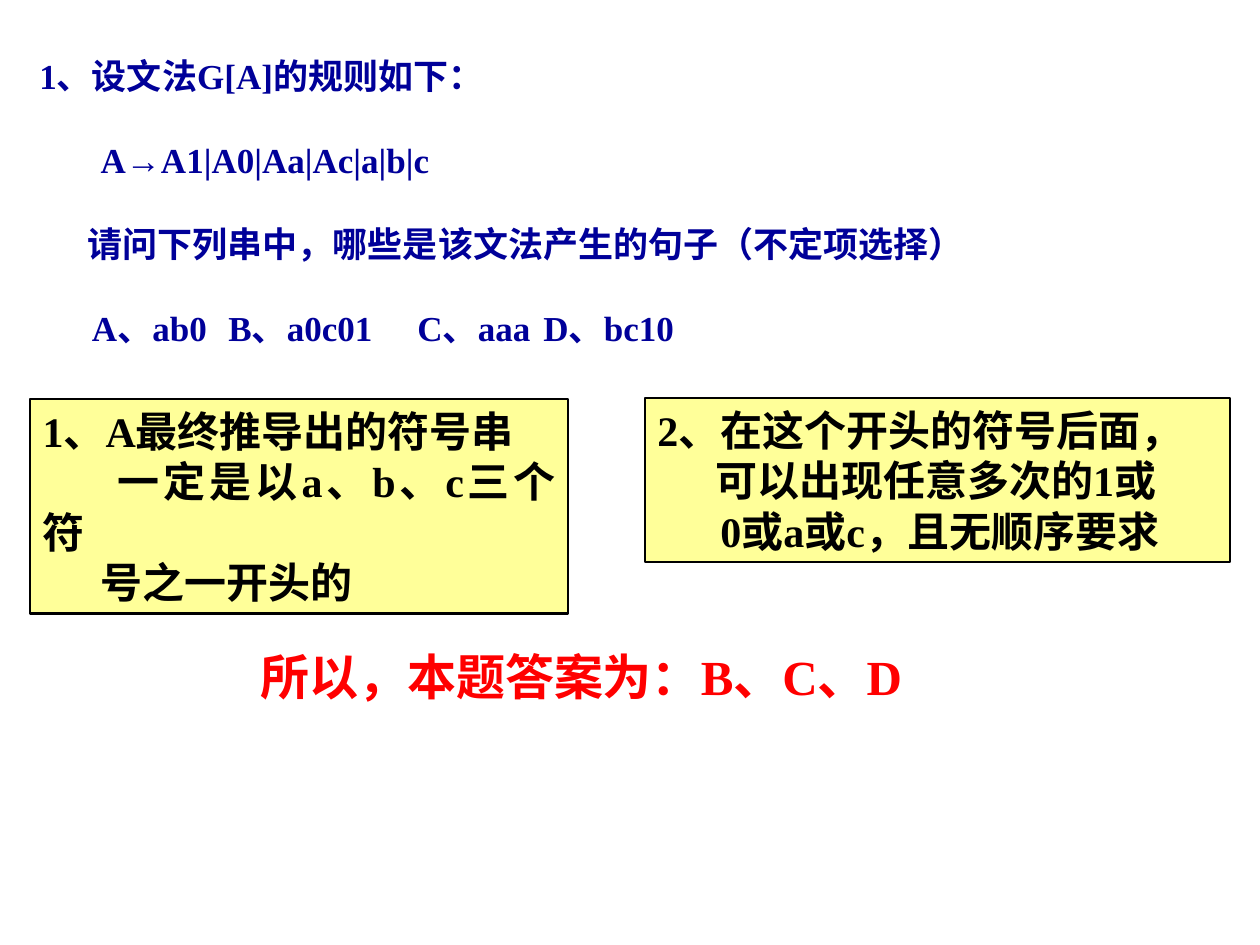
from lxml import etree
from pptx import Presentation
from pptx.dml.color import RGBColor
from pptx.enum.shapes import MSO_SHAPE
from pptx.enum.text import MSO_ANCHOR, MSO_AUTO_SIZE, PP_ALIGN
from pptx.oxml.ns import qn
from pptx.util import Pt

RECTANGLE = MSO_SHAPE.RECTANGLE
TOP, MIDDLE = MSO_ANCHOR.TOP, MSO_ANCHOR.MIDDLE
JUSTIFY, LEFT = PP_ALIGN.JUSTIFY, PP_ALIGN.LEFT
GROW = MSO_AUTO_SIZE.SHAPE_TO_FIT_TEXT

NAVY = RGBColor(0x00, 0x00, 0x99)
BLACK = RGBColor(0x00, 0x00, 0x00)
RED = RGBColor(0xFF, 0x00, 0x00)
YELLOW = RGBColor(0xFF, 0xFF, 0x99)
FONT = "Times New Roman"

# Content: each line is (first-line indent, text)
QUESTION = [
    (0, "1、设文法G[A]的规则如下："),
    (35, "A→A1|A0|Aa|Ac|a|b|c"),
    (27.5, "请问下列串中，哪些是该文法产生的句子（不定项选择）"),
    (30, "A、ab0\tB、a0c01\tC、aaa\tD、bc10"),
]
OPTION_TABS = [154.5, 298.5, 437.5]
START_RULE = [
    (0, "1、A最终推导出的符号串"),
    (43, "一定是以a、b、c三个符"),
    (33, "号之一开头的"),
]
REST_RULE = [
    (0, "2、在这个开头的符号后面，"),
    (33, "可以出现任意多次的1或"),
    (36, "0或a或c，且无顺序要求"),
]
ANSWER = [(0, "所以，本题答案为：B、C、D")]

# Places: left, top, width, height
QUESTION_PLACE = (16.5, 3.6, 597, 199.5)
START_PLACE = (17.3, 228.2, 307.4, 122.4)
REST_PLACE = (368.6, 227.5, 334.1, 93.6)
ANSWER_PLACE = (141.8, 365.8, 413.3, 74.9)


def set_indent(para, indent, tabs):
    properties = para._p.get_or_add_pPr()
    properties.set("marL", "0")
    properties.set("indent", str(Pt(indent)))
    if tabs:
        tab_list = etree.SubElement(properties, qn("a:tabLst"))
        for position in tabs:
            etree.SubElement(tab_list, qn("a:tab"), pos=str(Pt(position)), algn="l")


def write(box, lines, size, color, para_format, anchor=TOP, inset=7.2):
    frame = box.text_frame
    frame_format = {
        "word_wrap": True, "auto_size": GROW, "vertical_anchor": anchor,
        "margin_left": Pt(inset), "margin_right": Pt(7.2),
        "margin_top": Pt(3.6), "margin_bottom": Pt(3.6),
    }
    for name, value in frame_format.items():
        setattr(frame, name, value)
    for number, (indent, text) in enumerate(lines):
        para = frame.add_paragraph() if number else frame.paragraphs[0]
        for name, value in para_format.items():
            setattr(para, name, value)
        set_indent(para, indent, OPTION_TABS if "\t" in text else [])
        span = para.add_run()
        span.text = text
        for name, value in {"name": FONT, "size": Pt(size), "bold": True}.items():
            setattr(span.font, name, value)
        span.font.color.rgb = color


deck = Presentation()
deck.slide_width, deck.slide_height = Pt(720), Pt(540)
page = deck.slides.add_slide(deck.slide_layouts[6])

# Question with its options
question = page.shapes.add_textbox(*map(Pt, QUESTION_PLACE))
write(question, QUESTION, 20, NAVY,
      {"alignment": JUSTIFY, "line_spacing": 2.0}, MIDDLE, 6)

# Yellow explanation boxes
for place, lines in ((START_PLACE, START_RULE), (REST_PLACE, REST_RULE)):
    note = page.shapes.add_shape(RECTANGLE, *map(Pt, place))
    note.shadow.inherit = False
    note.fill.solid()
    note.fill.fore_color.rgb = YELLOW
    note.line.color.rgb = BLACK
    note.line.width = Pt(1.25)
    write(note, lines, 24, BLACK, {"alignment": JUSTIFY})

# Answer
answer = page.shapes.add_textbox(*map(Pt, ANSWER_PLACE))
write(answer, ANSWER, 28, RED, {"alignment": LEFT, "space_before": Pt(17.5)})

deck.save("out.pptx")
